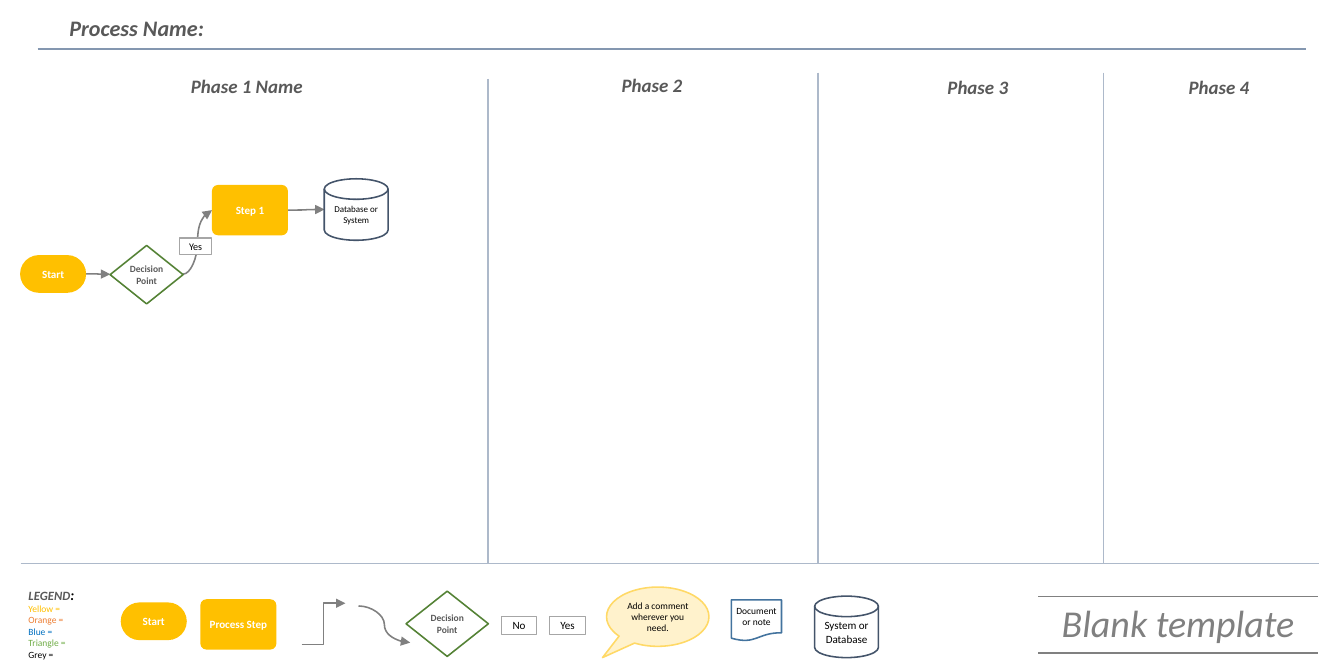
"""Build a blank process map slide with four phases and a legend."""
from lxml.etree import SubElement
from pptx import Presentation
from pptx.dml.color import RGBColor
from pptx.enum.shapes import MSO_CONNECTOR, MSO_SHAPE
from pptx.enum.text import MSO_ANCHOR, PP_ALIGN
from pptx.oxml.ns import qn
from pptx.util import Pt

SLIDE_SIZE = (850.5, 425.25)
TITLE = ("Process Name:", (36.72, 5.76, 215, 24.5))
LEGEND_BOX = (10.8, 367.2, 110.9, 54.7)
LEGEND = [
    [("LEGEND", 8, "595959", True), (":", 9, "000000", True)],
    [("Yellow =", 6, "FFC000", False)],
    [("Orange =", 6, "ED7D31", False)],
    [("Blue =", 6, "0070C0", False)],
    [("Triangle =", 6, "70AD47", False)],
    [("Grey =", 6, "000000", False)],
]
PHASES = [
    ("Phase 1 Name", (107.28, 43.9, 97.9, 21.6)),
    ("Phase 2", (373.7, 42.8, 77.8, 21.6)),
    ("Phase 3", (586.8, 44.6, 64, 21.6)),
    ("Phase 4", (739.4, 44.3, 64, 21.6)),
]
RULES = [
    ((308.9, 50, 308.9, 357), "ADB9CA", 1),
    ((517.7, 46, 517.7, 357), "ADB9CA", 1),
    ((698.4, 46, 698.4, 357), "ADB9CA", 1),
    ((13, 356.6, 834.5, 356.6), "ADB9CA", 1),
    ((23.8, 31, 826.5, 31), "8497B0", 1.5),
]
STYLES = {
    "start": dict(preset=MSO_SHAPE.ROUNDED_RECTANGLE, adjust=[0.5], fill="FFC000",
                  line=None, width=0, inset=1.44, color="FFFFFF", bold=True),
    "step": dict(preset=MSO_SHAPE.ROUNDED_RECTANGLE, adjust=[0.12], fill="FFC000",
                 line=None, width=0, inset=1.44, color="FFFFFF", bold=True),
    "decision": dict(preset=MSO_SHAPE.DIAMOND, adjust=[], fill=None,
                     line="548235", width=1, inset=0, color="595959", bold=True),
    "database": dict(preset=MSO_SHAPE.FLOWCHART_MAGNETIC_DISK, adjust=[], fill="FFFFFF",
                     line="44546A", width=1, inset=0.72, color="000000", bold=False),
    "comment": dict(preset=MSO_SHAPE.OVAL_CALLOUT, adjust=[-0.54, 0.69], fill="FFF2CC",
                    line="FFD966", width=1, inset=1.44, color="000000", bold=False),
    "document": dict(preset=MSO_SHAPE.FLOWCHART_DOCUMENT, adjust=[], fill=None,
                     line="43739E", width=1, inset=1.44, color="000000", bold=False),
    "answer": dict(preset=MSO_SHAPE.RECTANGLE, adjust=[], fill="FFFFFF",
                   line="A6A6A6", width=0.75, inset=1.44, color="000000", bold=False),
}
ARROWS = [
    (MSO_CONNECTOR.CURVE, (54.4, 173.3, 69.8, 173.5)),
    (MSO_CONNECTOR.CURVE, (115.9, 173.5, 134.2, 133)),
    (MSO_CONNECTOR.CURVE, (182.2, 133, 205.4, 132.6)),
    (MSO_CONNECTOR.BENT if hasattr(MSO_CONNECTOR, "BENT") else MSO_CONNECTOR.ELBOW,
     (190.9, 408, 218.6, 381.8)),
    (MSO_CONNECTOR.CURVE, (226.9, 383.5, 259.6, 406.7)),
]
NODES = [
    ("start", "Start", 7, (12.7, 161.4, 41.8, 23.9)),
    ("decision", "Decision Point", 6, (69.7, 155.3, 46.2, 37)),
    ("step", "Step 1", 7, (134.1, 117, 48.1, 31.9)),
    ("database", "Database or System", 5.7, (205.2, 113.2, 40.4, 38.9)),
    ("answer", "Yes", 6.4, (113.5, 150.6, 20.6, 10.5)),
    ("start", "Start", 7, (76.4, 381.2, 41.8, 23.9)),
    ("step", "Process Step", 7, (126.8, 379.2, 48.1, 31.9)),
    ("decision", "Decision Point", 6, (257, 374.1, 52.1, 41.3)),
    ("answer", "No", 7, (317.2, 390.2, 22.6, 11.4)),
    ("answer", "Yes", 7, (347.8, 390.2, 22.6, 11.4)),
    ("comment", "Add a comment wherever you need.", 6, (383.9, 371.5, 64.8, 37.5)),
    ("document", "Document or note", 6, (462.9, 379.6, 31.7, 26)),
    ("database", "System or Database", 7, (515.5, 377.3, 40.4, 38.9)),
]
BANNER = ("Blank template", (656.6, 377.3, 177.8, 36))
BANNER_BORDERS = {"lnL": "FFFFFF", "lnR": "FFFFFF", "lnT": "808080", "lnB": "808080"}
HEADING = dict(bold=True, italic=True)


def rgb(value):
    return RGBColor.from_string(value)


def set_all(target, values):
    for name, value in values.items():
        setattr(target, name, value)


def place(shape, box):
    set_all(shape, dict(zip(("left", "top", "width", "height"), map(Pt, box))))


def set_margins(frame, inset):
    sides = ("margin_left", "margin_top", "margin_right", "margin_bottom")
    set_all(frame, dict.fromkeys(sides, Pt(inset)))


def write(paragraph, text, size, color, alignment=PP_ALIGN.CENTER, **format_values):
    paragraph.alignment = alignment
    run = paragraph.add_run()
    run.text = text
    set_all(run.font, dict(name="Calibri", size=Pt(size), **format_values))
    run.font.color.rgb = rgb(color)


def add_line(slide, kind, ends, color, width, arrow=False):
    connector = slide.shapes.add_connector(kind, *map(Pt, ends))
    connector.line.color.rgb = rgb(color)
    connector.line.width = Pt(width)
    properties = connector.element.spPr
    if arrow:
        SubElement(properties.find(qn("a:ln")), qn("a:tailEnd"), type="triangle")
    SubElement(properties, qn("a:effectLst"))


def add_node(slide, style_name, text, size, box):
    style = STYLES[style_name]
    shape = slide.shapes.add_shape(style["preset"], *map(Pt, box))
    shape.shadow.inherit = False
    for index, value in enumerate(style["adjust"]):
        shape.adjustments[index] = value
    for fill, color in ((shape.fill, style["fill"]), (shape.line.fill, style["line"])):
        if color:
            fill.solid()
            fill.fore_color.rgb = rgb(color)
        else:
            fill.background()
    if style["line"]:
        shape.line.width = Pt(style["width"])
    frame = shape.text_frame
    set_all(frame, dict(word_wrap=True, vertical_anchor=MSO_ANCHOR.MIDDLE))
    set_margins(frame, style["inset"])
    write(frame.paragraphs[0], text, size, style["color"], bold=style["bold"])


def add_title(slide):
    text, box = TITLE
    title = slide.shapes.title
    place(title, box)
    set_all(title.text_frame, dict(word_wrap=True, vertical_anchor=MSO_ANCHOR.TOP))
    write(title.text_frame.paragraphs[0], text, 14, "595959", PP_ALIGN.LEFT, **HEADING)


def add_legend(slide):
    legend = slide.placeholders[1]
    place(legend, LEGEND_BOX)
    frame = legend.text_frame
    for index, runs in enumerate(LEGEND):
        paragraph = frame.add_paragraph() if index else frame.paragraphs[0]
        paragraph.space_before = Pt(0)
        properties = paragraph._p.get_or_add_pPr()
        properties.set("marL", "0")
        properties.set("indent", "0")
        SubElement(properties, qn("a:buNone"))
        for text, size, color, strong in runs:
            write(paragraph, text, size, color, PP_ALIGN.LEFT, bold=strong, italic=strong)


def add_banner(slide):
    text, box = BANNER
    table = slide.shapes.add_table(1, 1, *map(Pt, box)).table
    set_all(table, dict(first_row=False, horz_banding=False))
    cell = table.cell(0, 0)
    properties = cell._tc.get_or_add_tcPr()
    for side, color in BANNER_BORDERS.items():
        border = SubElement(properties, qn(f"a:{side}"), w=str(Pt(1)))
        SubElement(SubElement(border, qn("a:solidFill")), qn("a:srgbClr"), val=color)
    cell.fill.solid()
    cell.fill.fore_color.rgb = rgb("FFFFFF")
    write(cell.text_frame.paragraphs[0], text, 24, "808080", italic=True)


def main():
    presentation = Presentation()
    presentation.slide_width, presentation.slide_height = map(Pt, SLIDE_SIZE)
    slide = presentation.slides.add_slide(presentation.slide_layouts[1])
    add_title(slide)
    add_legend(slide)
    for ends, color, width in RULES:
        add_line(slide, MSO_CONNECTOR.STRAIGHT, ends, color, width)
    for name, box in PHASES:
        frame = slide.shapes.add_textbox(*map(Pt, box)).text_frame
        frame.word_wrap = True
        write(frame.paragraphs[0], name, 12, "595959", **HEADING)
    for kind, ends in ARROWS:
        add_line(slide, kind, ends, "808080", 1, arrow=True)
    for node in NODES:
        add_node(slide, *node)
    add_banner(slide)
    presentation.save("out.pptx")


if __name__ == "__main__":
    main()
